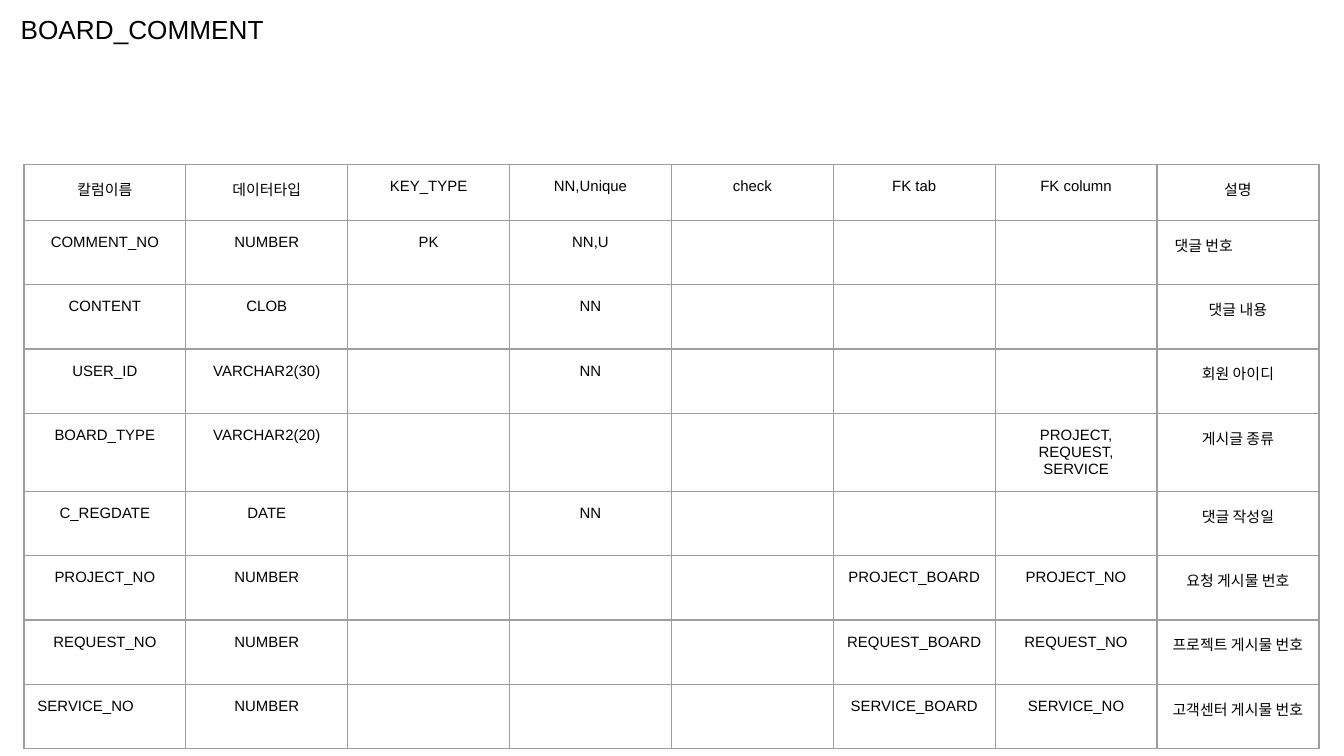
from dataclasses import dataclass

from lxml import etree
from pptx import Presentation
from pptx import util as u
from pptx.dml import color
from pptx.enum import text
from pptx.oxml import ns

Pt = u.Pt


@dataclass(frozen=True)
class Theme:
    font: str = "Arial"
    ink: str = "000000"
    grid: str = "9E9E9E"
    grid_width: float = 0.75
    title_size: float = 14
    cell_size: float = 8
    inset: float = 7.2


THEME = Theme()
LEFT, TOP = 12.86, 88
COLUMN_WIDTH = 86.74
HEADER_HEIGHT, ROW_HEIGHT, TALL_HEIGHT = 30, 34.5, 41.75

HEADINGS = ["칼럼이름", "데이터타입", "KEY_TYPE", "NN,Unique",
            "check", "FK tab", "FK column", "설명"]
COLUMNS = [
    ["COMMENT_NO", "NUMBER", "PK", "NN,U", "", "", "", "댓글 번호"],
    ["CONTENT", "CLOB", "", "NN", "", "", "", "댓글 내용"],
    ["USER_ID", "VARCHAR2(30)", "", "NN", "", "", "", "회원 아이디"],
    ["BOARD_TYPE", "VARCHAR2(20)", "", "", "", "",
     "PROJECT, REQUEST, SERVICE", "게시글 종류"],
    ["C_REGDATE", "DATE", "", "NN", "", "", "", "댓글 작성일"],
    ["PROJECT_NO", "NUMBER", "", "", "", "PROJECT_BOARD", "PROJECT_NO",
     "요청 게시물 번호"],
    ["REQUEST_NO", "NUMBER", "", "", "", "REQUEST_BOARD", "REQUEST_NO",
     "프로젝트 게시물 번호"],
    ["SERVICE_NO", "NUMBER", "", "", "", "SERVICE_BOARD", "SERVICE_NO",
     "고객센터 게시물 번호"],
]
LEFT_INSETS = {"댓글 번호": 9.4, "SERVICE_NO": THEME.inset}
LEFT_ALIGNED = {(1, 7), (8, 0)}


def write(frame, wording, *, size, align=text.PP_ALIGN.LEFT):
    paragraph = frame.paragraphs[0]
    paragraph.alignment = align
    run = paragraph.add_run()
    run.text = wording
    run.font.name = THEME.font
    run.font.size = Pt(size)
    run.font.color.rgb = color.RGBColor.from_string(THEME.ink)


def set_insets(holder, left=THEME.inset):
    holder.margin_left = Pt(left)
    holder.margin_right = holder.margin_top = holder.margin_bottom = Pt(THEME.inset)


def draw_borders(cell):
    properties = cell._tc.get_or_add_tcPr()
    for side in ("a:lnL", "a:lnR", "a:lnT", "a:lnB"):
        border = etree.SubElement(properties, ns.qn(side), w=str(Pt(THEME.grid_width)))
        fill = etree.SubElement(border, ns.qn("a:solidFill"))
        etree.SubElement(fill, ns.qn("a:srgbClr"), val=THEME.grid)


def fill_cell(cell, wording, left_aligned):
    draw_borders(cell)
    cell.fill.background()
    if not wording:
        return
    align = text.PP_ALIGN.LEFT if left_aligned else text.PP_ALIGN.CENTER
    set_insets(cell, LEFT_INSETS[wording] if left_aligned else THEME.inset)
    write(cell.text_frame, wording, size=THEME.cell_size, align=align)


def row_height(index, entries):
    if index == 0:
        return HEADER_HEIGHT
    return TALL_HEIGHT if entries[0] == "BOARD_TYPE" else ROW_HEIGHT


def add_title(slide, wording):
    title = slide.shapes.add_textbox(Pt(0), Pt(0), Pt(455.76), Pt(53.28))
    frame = title.text_frame
    frame.word_wrap = True
    set_insets(frame, left=11.1)
    write(frame, wording, size=THEME.title_size)


def add_schema(slide, rows):
    heights = [row_height(index, entries) for index, entries in enumerate(rows)]
    frame = slide.shapes.add_table(
        len(rows), len(HEADINGS), Pt(LEFT), Pt(TOP),
        Pt(COLUMN_WIDTH * len(HEADINGS)), Pt(sum(heights)))
    schema = frame.table
    schema.first_row = schema.horz_banding = False
    for column in schema.columns:
        column.width = Pt(COLUMN_WIDTH)
    for r, entries in enumerate(rows):
        schema.rows[r].height = Pt(heights[r])
        for c, wording in enumerate(entries):
            fill_cell(schema.cell(r, c), wording, (r, c) in LEFT_ALIGNED)


def main():
    deck = Presentation()
    deck.slide_width, deck.slide_height = Pt(720), Pt(405)
    slide = deck.slides.add_slide(deck.slide_layouts[6])
    add_schema(slide, [HEADINGS] + COLUMNS)
    add_title(slide, "BOARD_COMMENT")
    deck.save("out.pptx")


if __name__ == "__main__":
    main()
